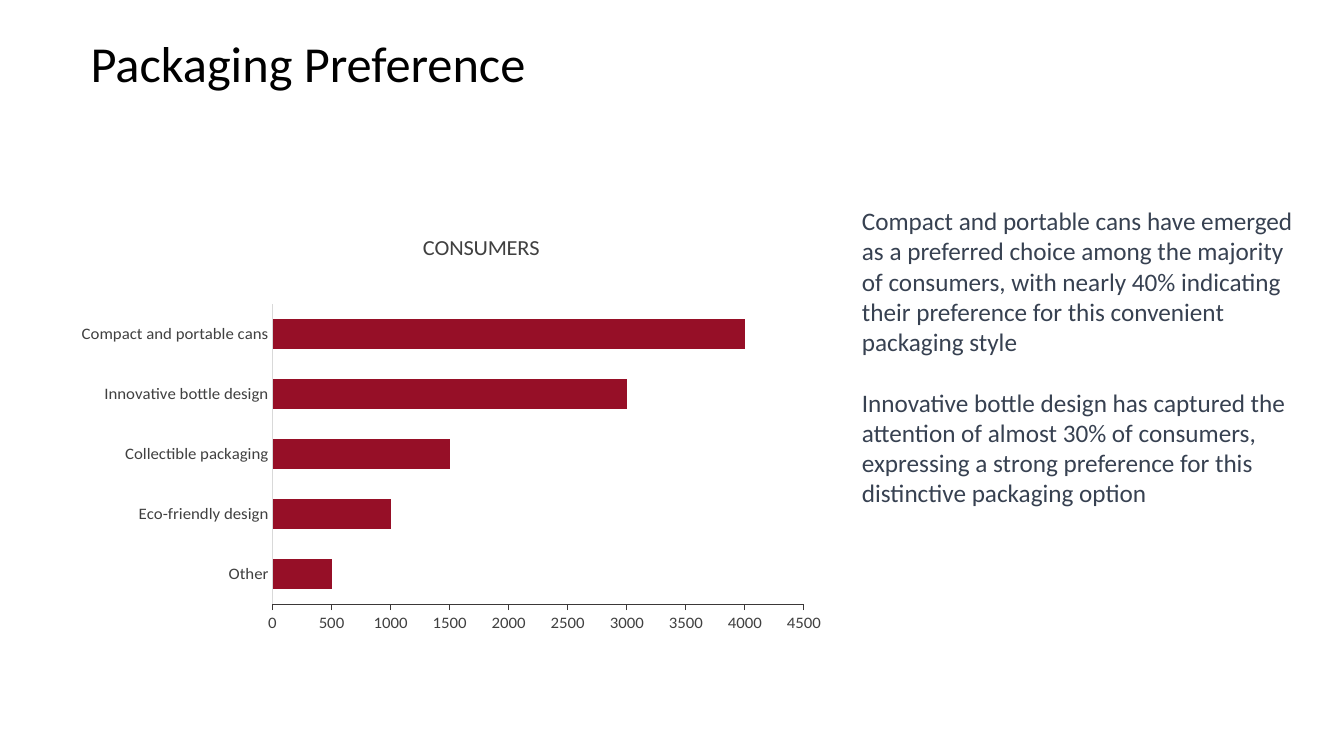
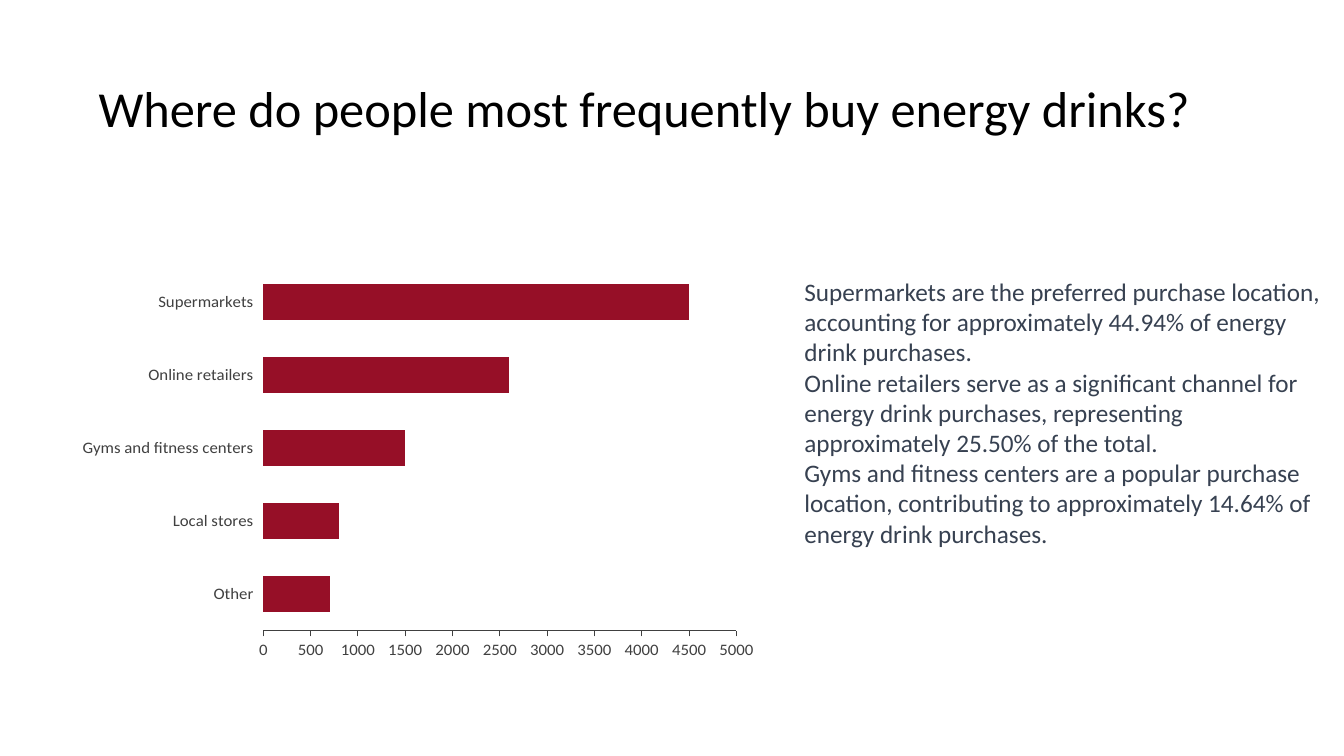
"""Build two survey slides, each with a title, a bar chart and findings."""
import lxml.etree
import pptx
import pptx.chart.data
import pptx.dml.color
import pptx.enum.chart
import pptx.enum.text
import pptx.oxml.ns
import pptx.util

Inches = pptx.util.Inches
Points = pptx.util.Pt
Tick = pptx.enum.chart.XL_TICK_MARK


def format_font(font, size, color, name="Calibri", bold=False):
    font.name = name
    font.size = Points(size)
    font.bold = bold
    font.color.rgb = pptx.dml.color.RGBColor.from_string(color)


def write_text(frame, text, size, color, gap=0):
    for index, line in enumerate(text.split("\n")):
        para = frame.add_paragraph() if index else frame.paragraphs[0]
        if index and gap:
            para.space_before = Points(gap)
        span = para.add_run()
        span.text = line
        format_font(span.font, size, color)


def set_layout(parent, inner=False, **fractions):
    qualify = pptx.oxml.ns.qn
    layout = parent.find(qualify("c:layout"))
    if layout is None:
        layout = parent.makeelement(qualify("c:layout"))
        parent.insert(0, layout)
    manual = lxml.etree.SubElement(layout, qualify("c:manualLayout"))
    settings = {"layoutTarget": "inner"} if inner else {}
    settings.update({"xMode": "edge", "yMode": "edge"}, **fractions)
    for tag, value in settings.items():
        lxml.etree.SubElement(manual, qualify("c:" + tag)).set("val", str(value))


class SurveyDeck:
    colors = {"title": "000000", "body": "374151", "bar": "960F27",
              "label": "404040", "axis": "3B3838", "faint": "D9D9D9"}

    def __init__(self):
        self.deck = pptx.Presentation()
        self.deck.slide_width = Inches(13.33)
        self.deck.slide_height = Inches(7.5)
        self.page = None

    def add_page(self):
        self.page = self.deck.slides.add_slide(self.deck.slide_layouts[6])

    def add_text(self, text, left, top, width, height, size, color, gap=0):
        box = self.page.shapes.add_textbox(
            Inches(left), Inches(top), Inches(width), Inches(height))
        box.text_frame.word_wrap = True
        box.text_frame.auto_size = pptx.enum.text.MSO_AUTO_SIZE.SHAPE_TO_FIT_TEXT
        write_text(box.text_frame, text, size, self.colors[color], gap)

    def add_title(self, text, left, top, width):
        self.add_text(text, left, top, width, 0.71, 36, "title")

    def add_findings(self, text, left, top, width, height, gap=0):
        self.add_text(text, left, top, width, height, 18, "body", gap)

    def style_axis(self, axis, tick, line):
        axis.has_major_gridlines = False
        axis.major_tick_mark = tick
        axis.minor_tick_mark = Tick.NONE
        format_font(axis.tick_labels.font, 12, self.colors["label"])
        if line is None:
            axis.format.line.fill.background()
        else:
            axis.format.line.width = Points(0.75)
            axis.format.line.color.rgb = pptx.dml.color.RGBColor.from_string(
                self.colors[line])

    def add_bars(self, answers, left, top, width, height, maximum, plot,
                 category_tick, category_line, value_line):
        data = pptx.chart.data.CategoryChartData()
        data.categories = list(answers)
        data.add_series("Series 1", list(answers.values()))
        chart = self.page.shapes.add_chart(
            pptx.enum.chart.XL_CHART_TYPE.BAR_CLUSTERED, Inches(left), Inches(top),
            Inches(width), Inches(height), data).chart
        chart.has_legend = False
        chart.has_title = False
        format_font(chart.font, 10, self.colors["title"])
        bars = chart.plots[0]
        bars.gap_width = 100
        bars.vary_by_categories = False
        fill = bars.series[0].format.fill
        fill.solid()
        fill.fore_color.rgb = pptx.dml.color.RGBColor.from_string(self.colors["bar"])
        self.style_axis(chart.category_axis, category_tick, category_line)
        self.style_axis(chart.value_axis, Tick.OUTSIDE, value_line)
        chart.category_axis.crosses = pptx.enum.chart.XL_AXIS_CROSSES.MAXIMUM
        chart.value_axis.minimum_scale = 0
        chart.value_axis.maximum_scale = maximum
        chart.value_axis.major_unit = 500
        plot_area = chart.element.find(".//" + pptx.oxml.ns.qn("c:plotArea"))
        set_layout(plot_area, inner=True, **plot)
        return chart

    def add_axis_title(self, axis, text, x, y):
        write_text(axis.axis_title.text_frame, text, 16, self.colors["label"])
        set_layout(axis.axis_title.element, x=x, y=y)


def main():
    survey = SurveyDeck()

    survey.add_page()
    chart = survey.add_bars(
        {"Other": 500, "Eco-friendly design": 1000, "Collectible packaging": 1500,
         "Innovative bottle design": 3000, "Compact and portable cans": 4000},
        0.64, 1.99, 7.64, 4.29, maximum=4500,
        plot={"x": 0.27, "y": 0.25, "w": 0.69, "h": 0.73},
        category_tick=Tick.NONE, category_line="faint", value_line="axis")
    survey.add_axis_title(chart.value_axis, "CONSUMERS", 0.46, 0.07)
    survey.add_findings(
        "Compact and portable cans have emerged as a preferred choice among the "
        "majority of consumers, with nearly 40% indicating their preference for "
        "this convenient packaging style\n"
        "Innovative bottle design has captured the attention of almost 30% of "
        "consumers, expressing a strong preference for this distinctive "
        "packaging option", 8.45, 1.99, 4.58, 3.43, gap=21.6)
    survey.add_title("Packaging Preference", 0.8, 0.27, 8.77)

    survey.add_page()
    survey.add_bars(
        {"Other": 700, "Local stores": 800, "Gyms and fitness centers": 1500,
         "Online retailers": 2600, "Supermarkets": 4500},
        0.68, 2.27, 6.9, 4.27, maximum=5000,
        plot={"x": 0.28, "y": 0.09, "w": 0.68, "h": 0.89},
        category_tick=Tick.OUTSIDE, category_line=None, value_line="label")
    survey.add_findings(
        "Supermarkets are the preferred purchase location, accounting for "
        "approximately 44.94% of energy drink purchases.\n"
        "Online retailers serve as a significant channel for energy drink "
        "purchases, representing approximately 25.50% of the total.\n"
        "Gyms and fitness centers are a popular purchase location, contributing "
        "to approximately 14.64% of energy drink purchases.",
        7.88, 2.69, 5.33, 2.83)
    survey.add_title("Where do people most frequently buy energy drinks?",
                     0.88, 0.72, 11.14)

    survey.deck.save("out.pptx")


if __name__ == "__main__":
    main()
